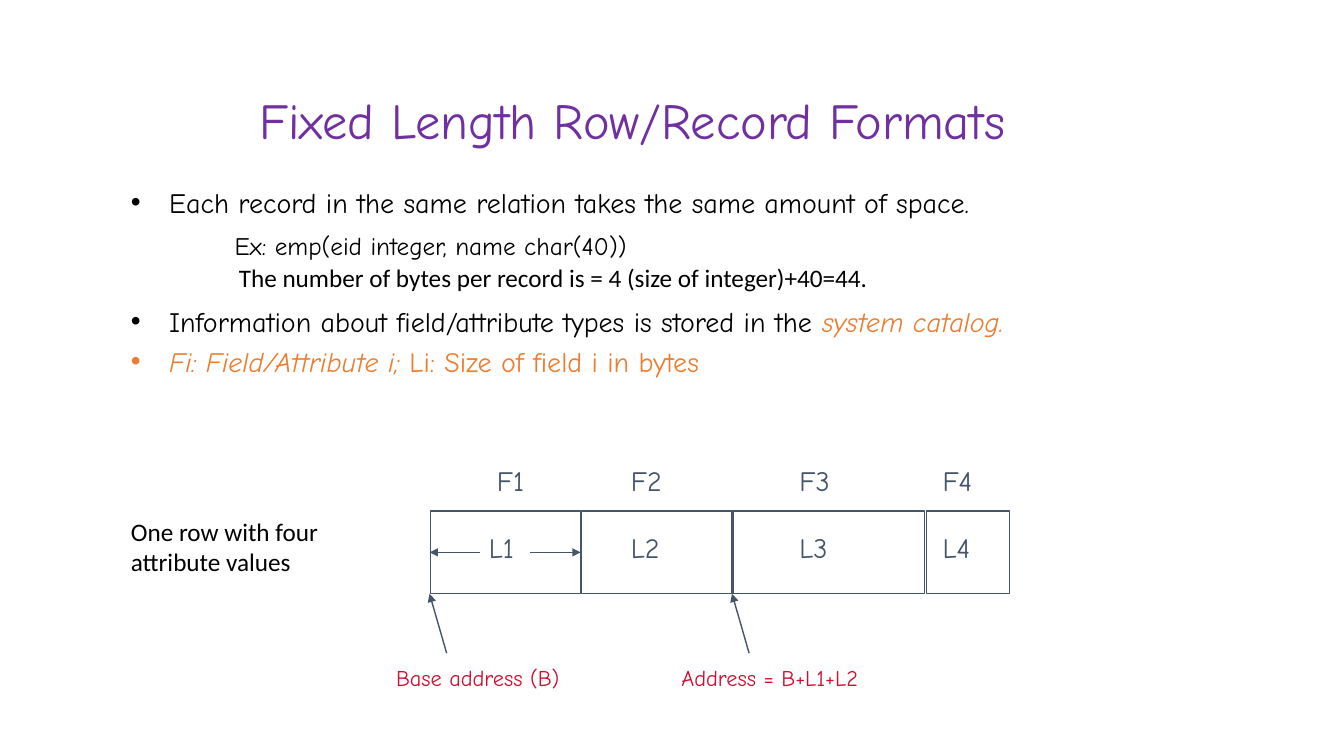
from typing import NamedTuple

import pptx
import pptx.dml.color
import pptx.enum.shapes
import pptx.enum.text
import pptx.oxml
import pptx.oxml.ns
import pptx.util

Inches = pptx.util.Inches
Pt = pptx.util.Pt
RGBColor = pptx.dml.color.RGBColor
PP_ALIGN = pptx.enum.text.PP_ALIGN
MSO_ANCHOR = pptx.enum.text.MSO_ANCHOR

BLACK = RGBColor(0x00, 0x00, 0x00)
PURPLE = RGBColor(0x70, 0x30, 0xA0)
ORANGE = RGBColor(0xED, 0x7D, 0x31)
SLATE = RGBColor(0x44, 0x54, 0x6A)
RED = RGBColor(0xCF, 0x0E, 0x30)
HAND_FONT = "Comic Neue"
PLAIN_FONT = "Calibri"

ROW_TOP, ROW_HEIGHT = 5.07, 0.82
FIELD_LABEL_TOP, SIZE_LABEL_TOP, ADDRESS_LABEL_TOP = 4.55, 5.21, 6.54


class Run(NamedTuple):
    text: str
    color: RGBColor = BLACK
    italic: bool = False


class Bullet(NamedTuple):
    runs: list[Run]
    space_before: float = 4.8


class Field(NamedTuple):
    number: int
    left: float
    width: float
    name_left: float
    size_left: float


class Address(NamedTuple):
    text: str
    left: float
    width: float
    target_x: float


class Arrow(NamedTuple):
    x1: float
    y1: float
    x2: float
    y2: float


BULLETS = [
    Bullet([Run("Each record in the same relation takes the same amount of space.")]),
    # Leaves room for the two example lines
    Bullet([Run("Information about field/attribute types is stored in the "),
            Run("system catalog.", ORANGE, True)], 60.8),
    Bullet([Run("Fi: Field/Attribute i; ", ORANGE, True),
            Run("Li: Size of field i in bytes", ORANGE)]),
]
FIELDS = [
    Field(1, 4.27, 1.49, 4.83, 4.75),
    Field(2, 5.77, 1.49, 6.16, 6.16),
    Field(3, 7.27, 1.9, 7.83, 7.83),
    Field(4, 9.19, 0.82, 9.25, 9.25),
]
ADDRESSES = [
    Address("Base address (B)", 3.83, 1.96, 4.26),
    Address("Address = B+L1+L2", 6.66, 2.17, 7.26),
]
LENGTH_ARROWS = [Arrow(4.76, 5.48, 4.26, 5.48), Arrow(5.26, 5.48, 5.76, 5.48)]


def add_run(p, text: str, *, size: float, font: str = HAND_FONT,
            color: RGBColor = BLACK, italic: bool = False) -> None:
    r = p.add_run()
    r.text = text
    r.font.size = Pt(size)
    r.font.name = font
    r.font.color.rgb = color
    r.font.italic = italic


def add_text(s, text: str, left: float, top: float, width: float, height: float, *,
             size: float, font: str = HAND_FONT, color: RGBColor = BLACK,
             wrap: bool = False, align: PP_ALIGN = PP_ALIGN.LEFT,
             anchor: MSO_ANCHOR = MSO_ANCHOR.TOP) -> None:
    tf = s.shapes.add_textbox(Inches(left), Inches(top), Inches(width), Inches(height)).text_frame
    tf.word_wrap = wrap
    tf.vertical_anchor = anchor
    p = tf.paragraphs[0]
    p.alignment = align
    add_run(p, text, size=size, font=font, color=color)


def add_bullets(s, bullets: list[Bullet]) -> None:
    tf = s.shapes.add_textbox(Inches(1.2), Inches(1.79), Inches(11.07), Inches(0.92)).text_frame
    tf.word_wrap = True
    for i, bullet in enumerate(bullets):
        p = tf.add_paragraph() if i else tf.paragraphs[0]
        p.space_before = Pt(bullet.space_before)
        pPr = p._p.get_or_add_pPr()
        pPr.set("marL", str(Inches(0.38)))
        pPr.set("indent", str(Inches(-0.38)))
        for tag, key, value in (("buFont", "typeface", "Arial"), ("buChar", "char", "•")):
            pPr.append(pptx.oxml.parse_xml(
                f'<a:{tag} {pptx.oxml.ns.nsdecls("a")} {key}="{value}"/>'))
        for run in bullet.runs:
            add_run(p, run.text, size=20, color=run.color, italic=run.italic)


def add_arrow(s, arrow: Arrow) -> None:
    x1, y1, x2, y2 = map(Inches, arrow)
    line = s.shapes.add_connector(pptx.enum.shapes.MSO_CONNECTOR.STRAIGHT, x1, y1, x2, y2)
    line.line.color.rgb = SLATE
    line.line.width = Pt(1)
    ns = pptx.oxml.ns.nsdecls("a")
    line.line._get_or_add_ln().append(pptx.oxml.parse_xml(f'<a:tailEnd {ns} type="triangle"/>'))
    line._element.spPr.append(pptx.oxml.parse_xml(f"<a:effectLst {ns}/>"))


def add_field(s, field: Field) -> None:
    """Draw one cell of the row with its name above and its size inside."""
    sp = s.shapes.add_shape(pptx.enum.shapes.MSO_SHAPE.RECTANGLE, Inches(field.left),
                            Inches(ROW_TOP), Inches(field.width), Inches(ROW_HEIGHT))
    sp.shadow.inherit = False
    sp.fill.background()
    sp.line.color.rgb = SLATE
    sp.line.width = Pt(1)
    add_text(s, f"F{field.number}", field.name_left, FIELD_LABEL_TOP, 0.54, 0.43,
             size=20, color=SLATE)
    add_text(s, f"L{field.number}", field.size_left, SIZE_LABEL_TOP,
             0.48 if field.number == 1 else 0.53, 0.43, size=20, color=SLATE)


def add_address(s, address: Address) -> None:
    add_arrow(s, Arrow(address.target_x + 0.17, 6.48, address.target_x, ROW_TOP + ROW_HEIGHT))
    add_text(s, address.text, address.left, ADDRESS_LABEL_TOP, address.width, 0.37,
             size=16, color=RED)


def main() -> None:
    prs = pptx.Presentation()
    prs.slide_width, prs.slide_height = Inches(13.33), Inches(7.5)
    s = prs.slides.add_slide(prs.slide_layouts[6])

    add_text(s, "Fixed Length Row/Record Formats", 1.62, 0.58, 9.3, 1.21, size=36,
             color=PURPLE, wrap=True, align=PP_ALIGN.CENTER, anchor=MSO_ANCHOR.MIDDLE)
    add_bullets(s, BULLETS)
    add_text(s, "Ex: emp(eid integer, name char(40))", 2.23, 2.24, 4.44, 0.4, size=18)
    add_text(s, "The number of bytes per record is = 4 (size of integer)+40=44.",
             2.27, 2.55, 6.58, 0.4, size=18, font=PLAIN_FONT)

    add_text(s, "One row with four attribute values", 1.2, 5.07, 2.35, 0.71,
             size=18, font=PLAIN_FONT, wrap=True)
    for field in FIELDS:
        add_field(s, field)
    for arrow in LENGTH_ARROWS:
        add_arrow(s, arrow)
    for address in ADDRESSES:
        add_address(s, address)

    prs.save("out.pptx")


if __name__ == "__main__":
    main()
